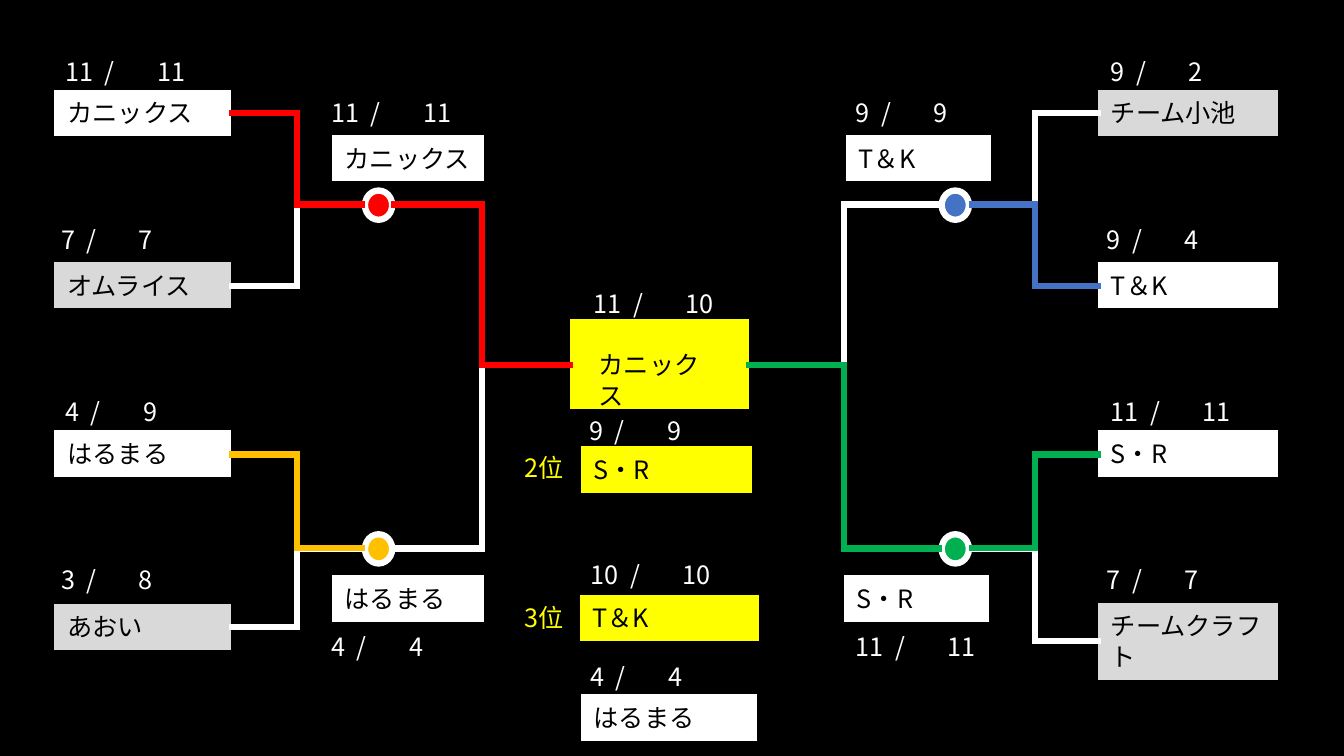
import dataclasses

import lxml.etree
import pptx
import pptx.dml.color
import pptx.enum.shapes
import pptx.enum.text
import pptx.oxml.ns
import pptx.util

EMU_PER_PX = 9144


@dataclasses.dataclass(frozen=True)
class Theme:
    font: str = "Noto Sans CJK JP"
    text_size: int = 18
    line_width: float = 4.5
    black: str = "000000"
    white: str = "FFFFFF"
    grey: str = "D9D9D9"
    yellow: str = "FFFF00"
    red: str = "FF0000"
    amber: str = "FFC000"
    blue: str = "4472C4"
    green: str = "00B050"


THEME = Theme()
BOX_HEIGHT = 40
DIGIT_WIDTH = 14
SLASH_GAP = 11
SECOND_SCORE_GAP = 52

MATCHES = [
    (568, 362, 388, 544, 203, THEME.red),
    (362, 203, 227, 284, 112, THEME.red),
    (362, 544, 227, 622, 451, THEME.amber),
    (740, 362, 934, 203, 544, THEME.green),
    (961, 203, 1092, 112, 284, THEME.blue),
    (961, 544, 1092, 636, 451, THEME.green),
]
NODES = [
    (362, 189, THEME.red),
    (362, 530, THEME.amber),
    (934, 189, THEME.blue),
    (934, 530, THEME.green),
]
TEAMS = [
    ("カニックス", 57, 92, 169, BOX_HEIGHT, THEME.white),
    ("オムライス", 57, 263, 169, BOX_HEIGHT, THEME.grey),
    ("はるまる", 57, 430, 169, BOX_HEIGHT, THEME.white),
    ("あおい", 57, 602, 169, BOX_HEIGHT, THEME.grey),
    ("チーム小池", 1092, 92, 172, BOX_HEIGHT, THEME.grey),
    ("T＆K", 1092, 263, 172, BOX_HEIGHT, THEME.white),
    ("S・R", 1092, 430, 172, BOX_HEIGHT, THEME.white),
    ("チームクラフト", 1092, 601, 172, 71, THEME.grey),
    ("カニックス", 332, 137, 145, BOX_HEIGHT, THEME.white),
    ("はるまる", 332, 574, 145, BOX_HEIGHT, THEME.white),
    ("T＆K", 842, 137, 138, BOX_HEIGHT, THEME.white),
    ("S・R", 840, 574, 138, BOX_HEIGHT, THEME.white),
    ("S・R", 579, 446, 164, BOX_HEIGHT, THEME.yellow),
    ("T＆K", 578, 593, 172, BOX_HEIGHT, THEME.yellow),
    ("はるまる", 579, 692, 169, BOX_HEIGHT, THEME.white),
]
SCORES = [
    (11, 11, 55, 51),
    (7, 7, 51, 218),
    (4, 9, 55, 388),
    (3, 8, 51, 555),
    (9, 2, 1092, 51),
    (9, 4, 1088, 218),
    (11, 11, 1092, 388),
    (7, 7, 1088, 555),
    (11, 11, 319, 92),
    (4, 4, 319, 621),
    (9, 9, 839, 92),
    (11, 11, 839, 621),
    (11, 10, 579, 281),
    (9, 9, 575, 407),
    (10, 10, 576, 550),
    (4, 4, 576, 651),
]
RANKS = [("2位", 510, 444), ("3位", 510, 593)]


def px(length):
    return pptx.util.Emu(length * EMU_PER_PX)


def rgb(color):
    return pptx.dml.color.RGBColor.from_string(color)


def add_child(parent, tag, **attributes):
    return lxml.etree.SubElement(parent, pptx.oxml.ns.qn(tag), **attributes)


def style_line(shape, color):
    shape.line.color.rgb = rgb(color)
    shape.line.width = pptx.util.Pt(THEME.line_width)
    add_child(shape.line._get_or_add_ln(), "a:miter", lim="800000")


def write_text(shape, text, color, tab_stops=()):
    frame = shape.text_frame
    frame.word_wrap = True
    frame.vertical_anchor = pptx.enum.text.MSO_ANCHOR.TOP
    frame.text = text
    paragraph = frame.paragraphs[0]
    paragraph.alignment = pptx.enum.text.PP_ALIGN.LEFT
    if tab_stops:
        tab_list = add_child(paragraph._p.get_or_add_pPr(), "a:tabLst")
        for stop in tab_stops:
            add_child(tab_list, "a:tab", pos=str(px(stop)), algn="l")
    for run in paragraph.runs:
        run.font.size = pptx.util.Pt(THEME.text_size)
        run.font.color.rgb = rgb(color)
        run.font.name = THEME.font
        add_child(run._r.get_or_add_rPr(), "a:ea", typeface=THEME.font)


def add_filled_shape(slide, kind, left, top, width, height, fill, line=None):
    shape = slide.shapes.add_shape(kind, px(left), px(top), px(width), px(height))
    shape.shadow.inherit = False
    shape.fill.solid()
    shape.fill.fore_color.rgb = rgb(fill)
    if line:
        style_line(shape, line)
    else:
        shape.line.fill.background()
    return shape


def add_box(slide, left, top, width, height, fill, outlined=True):
    rectangle = pptx.enum.shapes.MSO_SHAPE.RECTANGLE
    line = fill if outlined else None
    return add_filled_shape(slide, rectangle, left, top, width, height, fill, line)


def add_team(slide, name, left, top, width, height, fill, outlined=True):
    box = add_box(slide, left, top, width, height, fill, outlined)
    write_text(box, name, THEME.black)


def add_node(slide, left, top, fill):
    oval = pptx.enum.shapes.MSO_SHAPE.OVAL
    add_filled_shape(slide, oval, left, top, 27, 29, fill, THEME.white)


def add_branch(slide, from_x, from_y, to_x, to_y, color):
    connector = slide.shapes.add_connector(
        pptx.enum.shapes.MSO_CONNECTOR.ELBOW, px(from_x), px(from_y), px(to_x), px(to_y)
    )
    style_line(connector, color)
    add_child(connector._element.spPr, "a:effectLst")


def add_match(slide, from_x, from_y, to_x, loser_y, winner_y, winner_color):
    add_branch(slide, from_x, from_y, to_x, loser_y, THEME.white)
    add_branch(slide, from_x, from_y, to_x, winner_y, winner_color)


def add_label(slide, text, left, top, width, color, tab_stops=()):
    label = slide.shapes.add_textbox(px(left), px(top), px(width), px(BOX_HEIGHT))
    write_text(label, text, color, tab_stops)


def add_score(slide, first, second, left, top):
    slash_stop = len(str(first)) * DIGIT_WIDTH + SLASH_GAP
    tab_stops = (slash_stop, slash_stop + SECOND_SCORE_GAP)
    add_label(slide, f"{first}\t/\t{second}", left, top, 172, THEME.white, tab_stops)


def main():
    presentation = pptx.Presentation()
    presentation.slide_width = px(1333)
    presentation.slide_height = px(750)
    slide = presentation.slides.add_slide(presentation.slide_layouts[6])
    slide.background.fill.solid()
    slide.background.fill.fore_color.rgb = rgb(THEME.black)

    add_box(slide, 568, 320, 172, 83, THEME.yellow)
    for node in NODES:
        add_node(slide, *node)
    for team in TEAMS:
        add_team(slide, *team)
    for match in MATCHES:
        add_match(slide, *match)
    add_team(slide, "カニックス", 584, 342, 143, BOX_HEIGHT, THEME.yellow, outlined=False)
    for score in SCORES:
        add_score(slide, *score)
    for rank, left, top in RANKS:
        add_label(slide, rank, left, top, 67, THEME.yellow)

    presentation.save("out.pptx")


if __name__ == "__main__":
    main()
